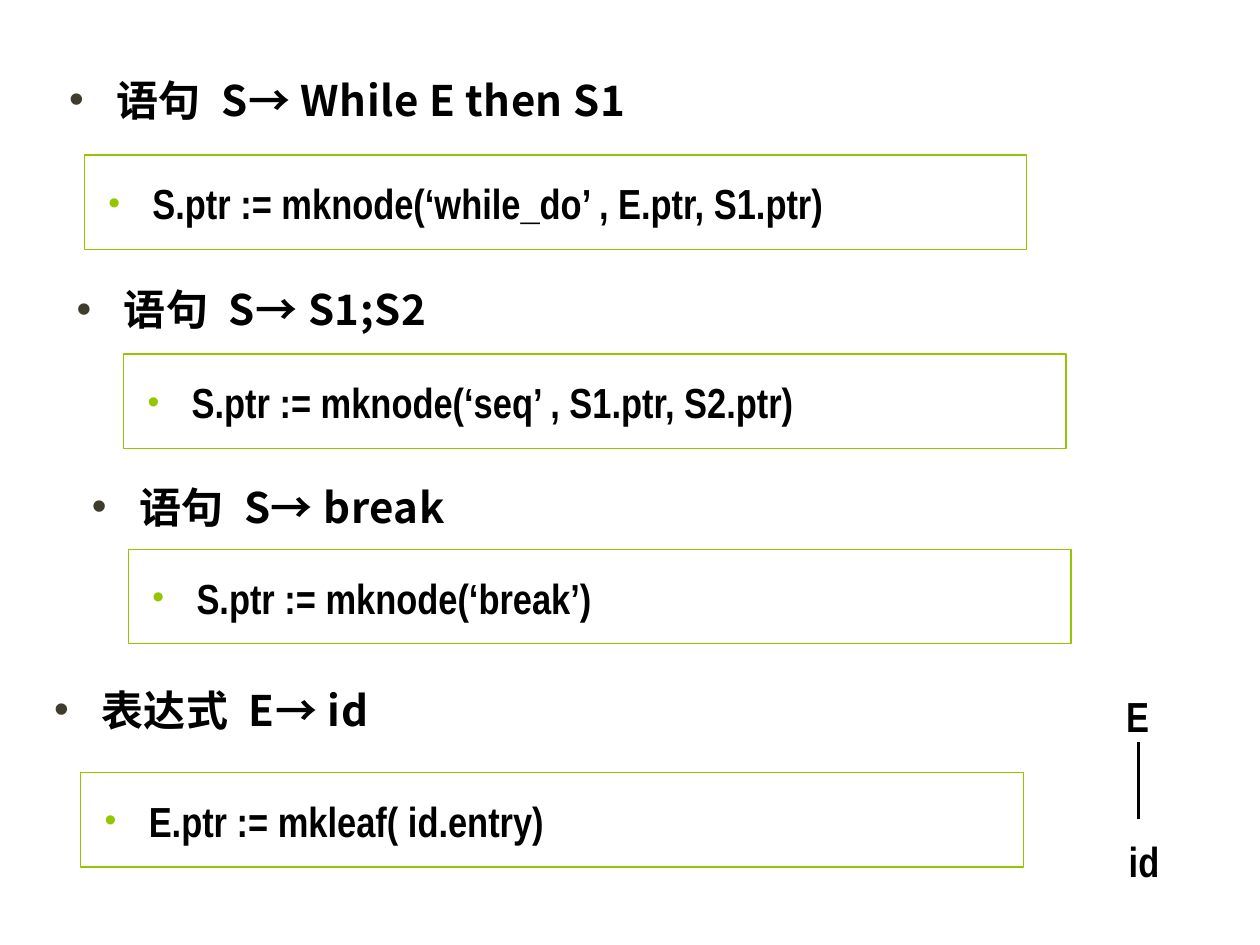
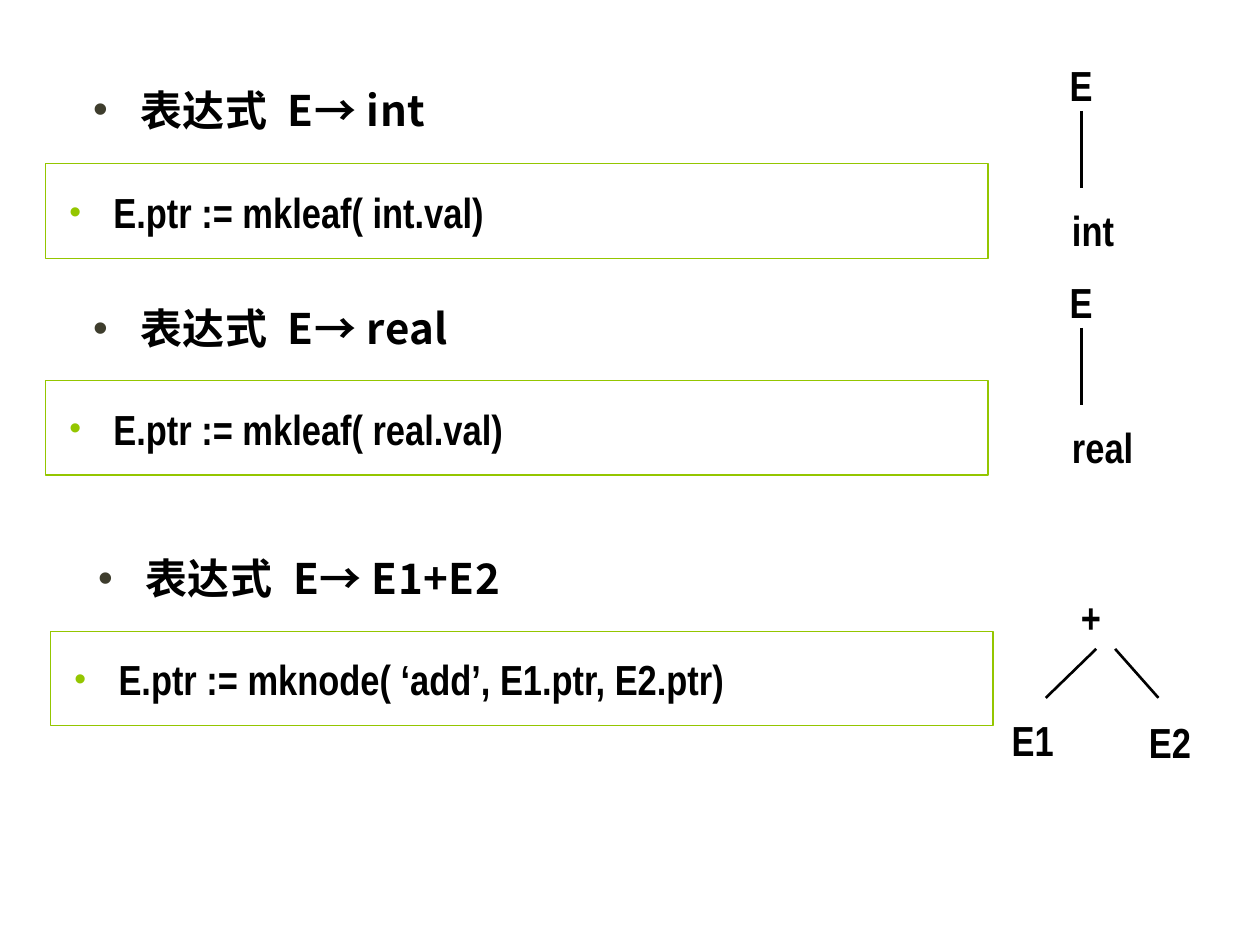
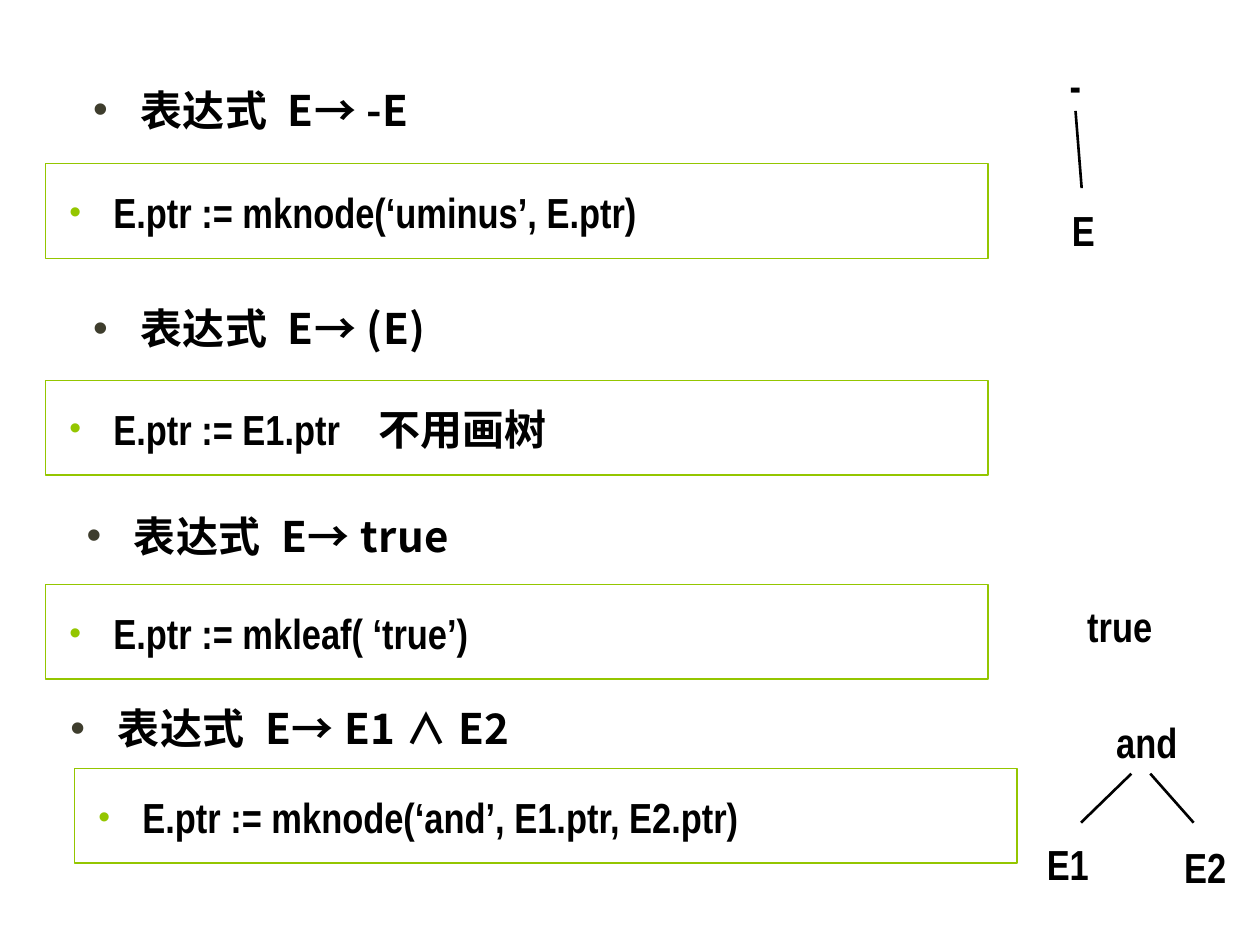
import lxml.etree
import pptx
import pptx.dml.color
import pptx.enum.shapes
import pptx.enum.text
import pptx.oxml.ns
import pptx.util

Pt = pptx.util.Pt
qn = pptx.oxml.ns.qn

BLACK = pptx.dml.color.RGBColor(0x00, 0x00, 0x00)
GREEN = pptx.dml.color.RGBColor(0x94, 0xC6, 0x00)
OLIVE = pptx.dml.color.RGBColor(0x3E, 0x3D, 0x2D)

HEADING_FONT = "Noto Sans CJK SC"
CODE_FONT = "Arial Narrow"
TEXT_FORMAT = {"size": Pt(24), "bold": True}

STATEMENT = "语句"
EXPRESSION = "表达式"
HEADING_WIDTH = 607
HEADING_HEIGHTS = {STATEMENT: 45.4, EXPRESSION: 41.8}
ACTION_WIDTH, ACTION_HEIGHT = 538.6, 54
LABEL_HEIGHT = 38.9
LABEL_WIDTHS = {"E": 28, "id": 32.4, "int": 39, "real": 50, "+": 26, "-": 21,
                "E1": 39, "E2": 39, "and": 50, "true": 52}

# Heading left and top, kind, production; action left and top, action parts
STATEMENT_RULES = [
    (32.4, 37.4, STATEMENT, "S→ While E then S1",
     48.2, 88.6, ["S.ptr := mknode(‘while_do’ , E.ptr, S1.ptr)"]),
    (36.7, 157, STATEMENT, "S→ S1;S2",
     70.6, 202.3, ["S.ptr := mknode(‘seq’ , S1.ptr, S2.ptr)"]),
    (45.4, 270, STATEMENT, "S→ break",
     73.4, 313.9, ["S.ptr := mknode(‘break’)"]),
    (23.8, 385.9, EXPRESSION, "E→ id",
     46.1, 441.4, ["E.ptr := mkleaf( id.entry)"]),
]
ARITHMETIC_RULES = [
    (46.1, 43.2, EXPRESSION, "E→ int",
     25.9, 93.6, ["E.ptr := mkleaf( int.val)"]),
    (46.1, 167.8, EXPRESSION, "E→ real",
     25.9, 217.4, ["E.ptr := mkleaf( real.val)"]),
    (49, 311, EXPRESSION, "E→ E1+E2",
     28.8, 360.7, ["E.ptr := mknode( ‘add’, E1.ptr, E2.ptr)"]),
]
LOGIC_RULES = [
    (46.1, 43.2, EXPRESSION, "E→ -E",
     25.9, 93.6, ["E.ptr := mknode(‘uminus’, E.ptr)"]),
    (46.1, 167.8, EXPRESSION, "E→ (E)",
     25.9, 217.4, ["E.ptr := E1.ptr", "不用画树"]),
    (42.5, 286.6, EXPRESSION, "E→ true",
     25.9, 334.1, ["E.ptr := mkleaf( ‘true’)"]),
    (33.1, 396.7, EXPRESSION, "E→ E1 ∧ E2",
     42.5, 439.2, ["E.ptr := mknode(‘and’, E1.ptr, E2.ptr)"]),
]


def apply_format(target, values):
    for name, value in values.items():
        setattr(target, name, value)


def add_span(para, text, font_name, spacing=0):
    """Add a run; spacing is the extra width of each letter in points."""
    span = para.add_run()
    span.text = text
    apply_format(span.font, {**TEXT_FORMAT, "name": font_name})
    span.font.color.rgb = BLACK
    if spacing:
        span.font._element.set("spc", str(round(spacing * 100)))


def add_parts(para, parts, font_name, spacing, gap):
    """Write the parts in one line, set apart by a space widened by gap."""
    for index, part in enumerate(parts):
        if index:
            add_span(para, " ", font_name, gap)
        add_span(para, part, font_name, spacing)


def add_bullet(para, color, percent, margin, hanging):
    properties = para._p.get_or_add_pPr()
    properties.set("marL", str(Pt(margin)))
    properties.set("indent", str(-Pt(hanging)))
    bullet_color = lxml.etree.SubElement(properties, qn("a:buClr"))
    lxml.etree.SubElement(bullet_color, qn("a:srgbClr"), val=str(color))
    lxml.etree.SubElement(properties, qn("a:buSzPct"), val=str(percent * 1000))
    lxml.etree.SubElement(properties, qn("a:buFont"), typeface="Arial")
    lxml.etree.SubElement(properties, qn("a:buChar"), char="•")


def add_heading(page, left, top, kind, production):
    box = page.shapes.add_textbox(Pt(left), Pt(top), Pt(HEADING_WIDTH),
                                  Pt(HEADING_HEIGHTS[kind]))
    box.text_frame.word_wrap = True
    para = box.text_frame.paragraphs[0]
    add_bullet(para, OLIVE, 100, 27, 27)
    apply_format(para, {"line_spacing": 1.05, "space_after": Pt(6)})
    add_parts(para, [kind, production], HEADING_FONT, 0.3, 6)


def add_action(page, left, top, parts):
    box = page.shapes.add_shape(
        pptx.enum.shapes.MSO_SHAPE.RECTANGLE,
        Pt(left), Pt(top), Pt(ACTION_WIDTH), Pt(ACTION_HEIGHT))
    box.shadow.inherit = False
    box.fill.background()
    box.line.color.rgb = GREEN
    box.line.width = Pt(0.75)
    apply_format(box.text_frame, {
        "word_wrap": True,
        "vertical_anchor": pptx.enum.text.MSO_ANCHOR.TOP,
        "margin_left": Pt(4.3), "margin_top": Pt(7.2),
        "margin_right": Pt(7.2), "margin_bottom": Pt(3.6)})
    para = box.text_frame.paragraphs[0]
    add_bullet(para, GREEN, 80, 34.6, 25.2)
    apply_format(para, {"line_spacing": 1.2,
                        "alignment": pptx.enum.text.PP_ALIGN.LEFT})
    add_parts(para, parts, CODE_FONT, 0, 16.4)


def add_label(page, text, left, top):
    box = page.shapes.add_textbox(Pt(left), Pt(top), Pt(LABEL_WIDTHS[text]),
                                  Pt(LABEL_HEIGHT))
    apply_format(box.text_frame, {
        "word_wrap": False,
        "auto_size": pptx.enum.text.MSO_AUTO_SIZE.SHAPE_TO_FIT_TEXT})
    para = box.text_frame.paragraphs[0]
    para.line_spacing = 1.2
    add_span(para, text, CODE_FONT)
    return box


def add_branch(page, start_x, start_y, end_x, end_y):
    branch = page.shapes.add_connector(
        pptx.enum.shapes.MSO_CONNECTOR.STRAIGHT,
        Pt(start_x), Pt(start_y), Pt(end_x), Pt(end_y))
    branch.line.color.rgb = BLACK
    branch.line.width = Pt(1.5)
    lxml.etree.SubElement(branch._element.spPr, qn("a:effectLst"))
    return branch


def add_chain(page, root, leaf, left, top):
    """Draw a tree of a root with one leaf below it."""
    root_box = add_label(page, root, left, top)
    leaf_top = top + 83
    add_label(page, leaf, left + 1.4, leaf_top)
    branch = add_branch(page, left + LABEL_WIDTHS[root] / 2, top + LABEL_HEIGHT,
                        left + 14, leaf_top)
    branch.begin_connect(root_box, 2)


def add_fork(page, root, left, top):
    """Draw a tree of a root with the leaves E1 and E2."""
    add_label(page, root, left + 39.6, top)
    add_label(page, "E1", left, top + 69.8)
    add_label(page, "E2", left + 78.5, top + 71.3)
    for start, end in [(55.4, 26.6), (66.2, 91)]:
        add_branch(page, left + start, top + 41.8, left + end, top + 69.8)


def add_rules_page(deck, rules):
    page = deck.slides.add_slide(deck.slide_layouts[6])
    for left, top, kind, production, action_left, action_top, parts in rules:
        add_heading(page, left, top, kind, production)
        add_action(page, action_left, action_top, parts)
    return page


def main():
    deck = pptx.Presentation()
    deck.slide_width, deck.slide_height = Pt(720), Pt(540)

    page = add_rules_page(deck, STATEMENT_RULES)
    add_chain(page, "E", "id", 636.5, 385.2)

    page = add_rules_page(deck, ARITHMETIC_RULES)
    add_chain(page, "E", "int", 604.1, 24.5)
    add_chain(page, "E", "real", 604.1, 148.5)
    add_fork(page, "+", 571, 329)

    page = add_rules_page(deck, LOGIC_RULES)
    add_chain(page, "-", "E", 604.1, 24.5)
    add_label(page, "true", 614.2, 334.1)
    add_fork(page, "and", 591.1, 400.3)

    deck.save("out.pptx")


if __name__ == "__main__":
    main()
